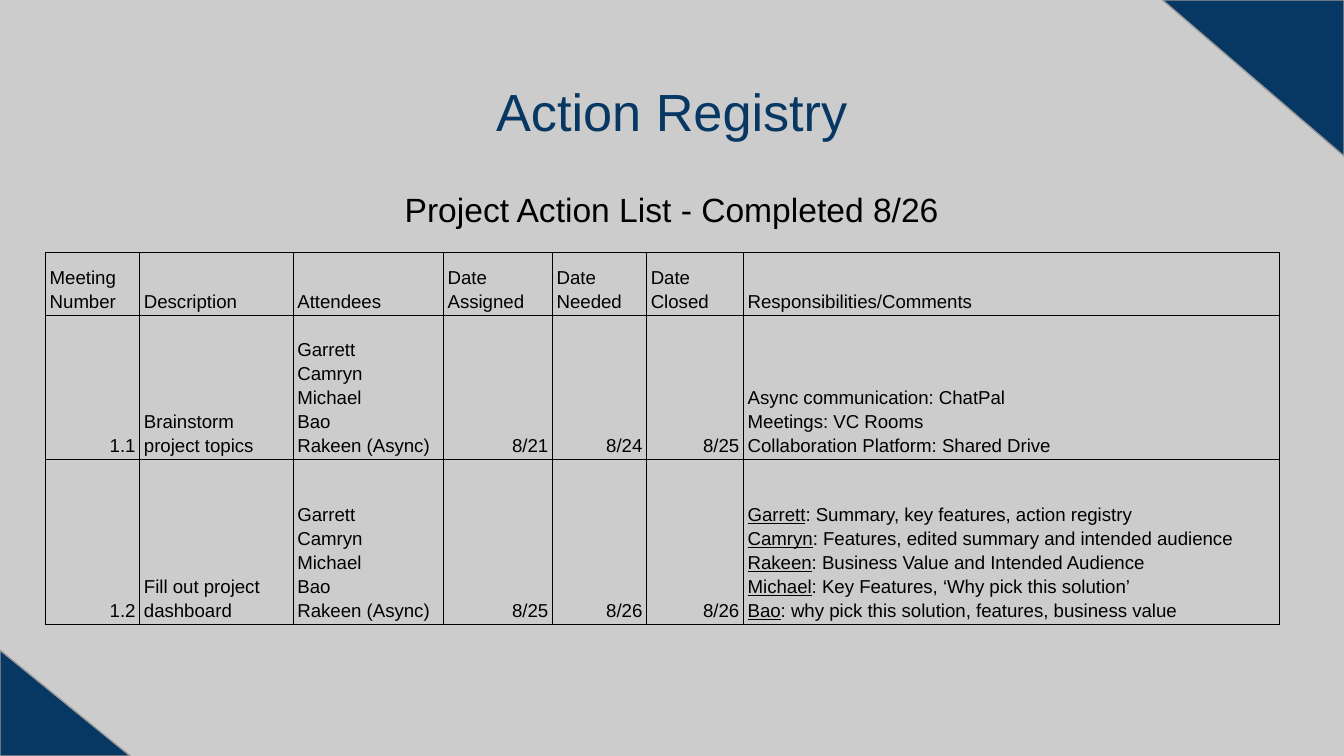
import dataclasses

import pptx
import pptx.dml.color
import pptx.enum.shapes
import pptx.enum.text
import pptx.oxml
import pptx.oxml.ns
import pptx.util

Cm = pptx.util.Cm
Pt = pptx.util.Pt
Align = pptx.enum.text.PP_ALIGN
Anchor = pptx.enum.text.MSO_ANCHOR


@dataclasses.dataclass(frozen=True)
class Theme:
    font: str = "Arial"
    background: str = "CCCCCC"
    navy: str = "073763"
    ink: str = "000000"
    outline: str = "999999"
    title_size: int = 28
    subtitle_size: int = 18
    table_size: int = 10
    line_width: float = 0.75
    line_spacing: float = 1.15


THEME = Theme()

ATTENDEES = ["Garrett", "Camryn", "Michael", "Bao", "Rakeen (Async)"]
HEADERS = [["Meeting", "Number"], ["Description"], ["Attendees"], ["Date Assigned"],
           ["Date Needed"], ["Date Closed"], ["Responsibilities/Comments"]]
MEETINGS = [
    [["1.1"], ["Brainstorm", "project topics"], ATTENDEES, ["8/21"], ["8/24"], ["8/25"],
     ["Async communication: ChatPal", "Meetings: VC Rooms",
      "Collaboration Platform: Shared Drive"]],
    [["1.2"], ["Fill out project dashboard"], ATTENDEES, ["8/25"], ["8/26"], ["8/26"],
     [("Garrett", ": Summary, key features, action registry"),
      ("Camryn", ": Features, edited summary and intended audience"),
      ("Rakeen", ": Business Value and Intended Audience"),
      ("Michael", ": Key Features, ‘Why pick this solution’"),
      ("Bao", ": why pick this solution, features, business value")]],
]
COLUMN_WIDTHS = [1.78, 2.9, 2.84, 2.06, 1.78, 1.83, 10.13]
ROW_HEIGHTS = [1.19, 2.72, 3.12]
NUMERIC_COLUMNS = {0, 3, 4, 5}


def rgb(color):
    return pptx.dml.color.RGBColor.from_string(color)


def write_text(frame, lines, *, size, color=THEME.ink, align=Align.LEFT,
               line_spacing=1.0, space_after=0):
    for index, line in enumerate(lines):
        paragraph = frame.paragraphs[0] if index == 0 else frame.add_paragraph()
        properties = paragraph._p.get_or_add_pPr()
        properties.set("marL", "0")
        properties.set("indent", "0")
        pptx.oxml.ns.qn("a:buNone")
        properties.append(pptx.oxml.parse_xml(
            f'<a:buNone {pptx.oxml.ns.nsdecls("a")}/>'))
        paragraph.alignment = align
        paragraph.line_spacing = line_spacing
        paragraph.space_before = Pt(0)
        paragraph.space_after = Pt(space_after)
        label, rest = line if isinstance(line, tuple) else ("", line)
        for text, underline in ((label, True), (rest, False)):
            if text:
                run = paragraph.add_run()
                run.text = text
                run.font.name = THEME.font
                run.font.size = Pt(size)
                run.font.bold = False
                run.font.underline = underline
                run.font.color.rgb = rgb(color)


def fill_placeholder(placeholder, text, top, height, **text_format):
    placeholder.left, placeholder.top = Cm(0.86), Cm(top)
    placeholder.width, placeholder.height = Cm(23.67), Cm(height)
    frame = placeholder.text_frame
    frame.word_wrap = True
    frame.auto_size = pptx.enum.text.MSO_AUTO_SIZE.NONE
    frame.vertical_anchor = Anchor.TOP
    frame.margin_left = frame.margin_right = Cm(0.25)
    frame.margin_top = frame.margin_bottom = Cm(0.25)
    write_text(frame, [text], align=Align.CENTER, **text_format)


def add_borders(cell):
    properties = cell._tc.get_or_add_tcPr()
    for side in ("lnL", "lnR", "lnT", "lnB"):
        properties.append(pptx.oxml.parse_xml(
            f'<a:{side} {pptx.oxml.ns.nsdecls("a")} w="{Pt(THEME.line_width)}">'
            f'<a:solidFill><a:srgbClr val="{THEME.ink}"/></a:solidFill></a:{side}>'))


def add_action_table(slide):
    rows = [HEADERS, *MEETINGS]
    table = slide.shapes.add_table(
        len(rows), len(HEADERS), Cm(0.86), Cm(4.77),
        Cm(sum(COLUMN_WIDTHS)), Cm(sum(ROW_HEIGHTS))).table
    table.first_row = False
    table.horz_banding = False
    for column, width in zip(table.columns, COLUMN_WIDTHS):
        column.width = Cm(width)
    for row_index, (row, height) in enumerate(zip(rows, ROW_HEIGHTS)):
        table.rows[row_index].height = Cm(height)
        for column_index, lines in enumerate(row):
            cell = table.cell(row_index, column_index)
            add_borders(cell)
            cell.fill.background()
            cell.vertical_anchor = Anchor.BOTTOM
            cell.margin_left = cell.margin_right = Cm(0.08)
            cell.margin_top = cell.margin_bottom = Cm(0.05)
            is_number = row_index > 0 and column_index in NUMERIC_COLUMNS
            write_text(cell.text_frame, lines, size=THEME.table_size,
                       align=Align.RIGHT if is_number else Align.LEFT,
                       line_spacing=THEME.line_spacing)


def add_corner(slide, left, top, width, height, rotation=0):
    corner = slide.shapes.add_shape(
        pptx.enum.shapes.MSO_SHAPE.RIGHT_TRIANGLE,
        Cm(left), Cm(top), Cm(width), Cm(height))
    corner.rotation = rotation
    corner.shadow.inherit = False
    corner.fill.solid()
    corner.fill.fore_color.rgb = rgb(THEME.navy)
    corner.line.color.rgb = rgb(THEME.outline)
    corner.line.width = Pt(THEME.line_width)


def main():
    presentation = pptx.Presentation()
    presentation.slide_width, presentation.slide_height = Cm(25.4), Cm(14.29)
    slide = presentation.slides.add_slide(presentation.slide_layouts[1])
    slide.background.fill.solid()
    slide.background.fill.fore_color.rgb = rgb(THEME.background)

    title, body = slide.placeholders
    fill_placeholder(title, "Action Registry", 1.24, 1.6,
                     size=THEME.title_size, color=THEME.navy)
    fill_placeholder(body, "Project Action List - Completed 8/26", 3.2, 9.5,
                     size=THEME.subtitle_size, line_spacing=THEME.line_spacing,
                     space_after=16)
    add_action_table(slide)
    add_corner(slide, 21.97, 0, 3.43, 2.95, rotation=180)
    add_corner(slide, 0, 12.29, 2.46, 2)
    presentation.save("out.pptx")


if __name__ == "__main__":
    main()
